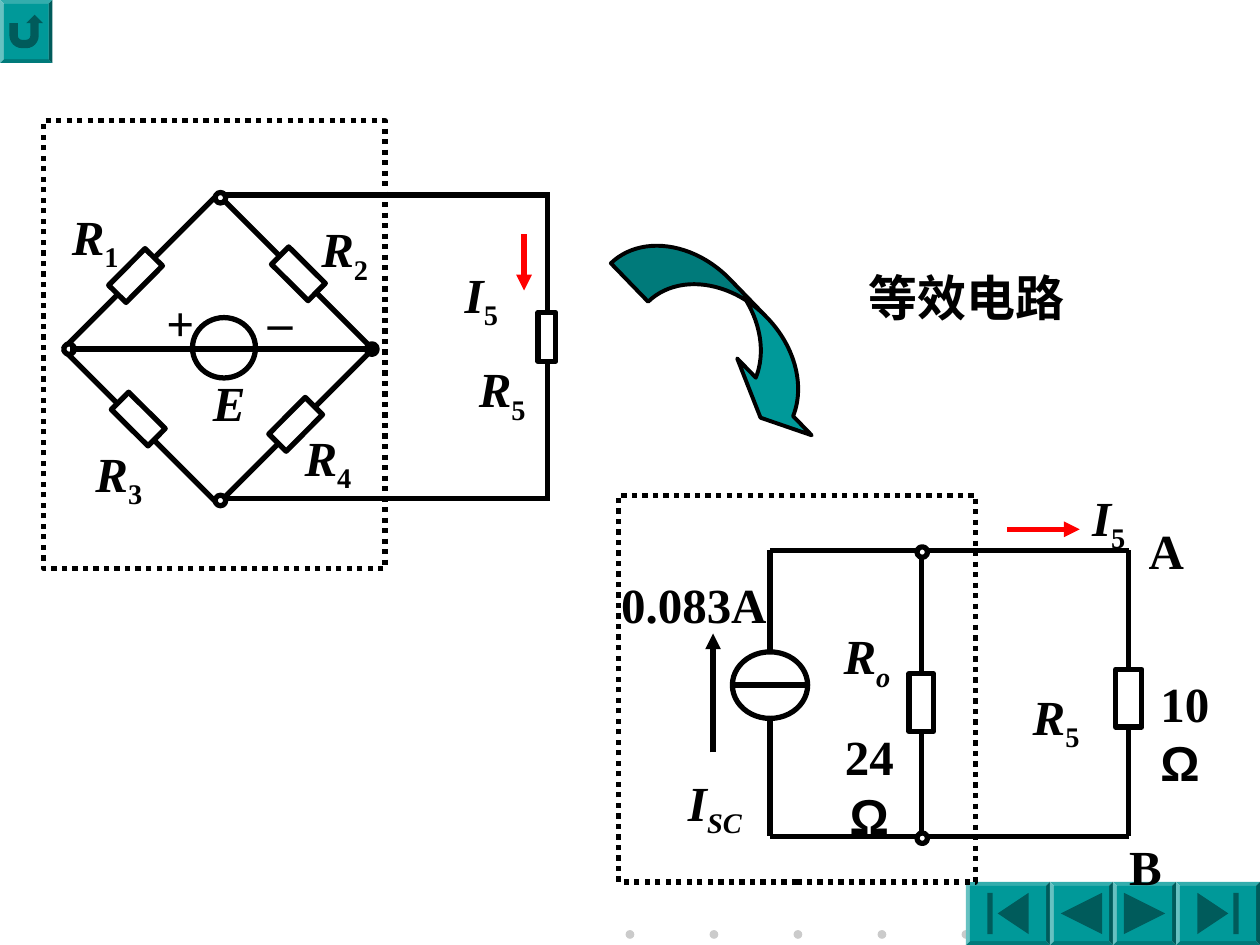
from dataclasses import dataclass

from lxml import etree
from pptx import Presentation
from pptx.dml.color import RGBColor
from pptx.enum.dml import MSO_LINE
from pptx.enum.shapes import MSO_CONNECTOR, MSO_SHAPE
from pptx.enum.text import MSO_ANCHOR, MSO_AUTO_SIZE, PP_ALIGN
from pptx.oxml.ns import qn
from pptx.util import Pt

RECTANGLE, ELLIPSE, BEVEL = MSO_SHAPE.RECTANGLE, MSO_SHAPE.OVAL, MSO_SHAPE.BEVEL
CURVED_ARROW = MSO_SHAPE.CURVED_LEFT_ARROW
RETURN_BUTTON = MSO_SHAPE.ACTION_BUTTON_RETURN
FIRST_BUTTON = MSO_SHAPE.ACTION_BUTTON_BEGINNING
BACK_BUTTON = MSO_SHAPE.ACTION_BUTTON_BACK_OR_PREVIOUS
NEXT_BUTTON = MSO_SHAPE.ACTION_BUTTON_FORWARD_OR_NEXT
LAST_BUTTON = MSO_SHAPE.ACTION_BUTTON_END
STRAIGHT, DOTTED = MSO_CONNECTOR.STRAIGHT, MSO_LINE.ROUND_DOT
LEFT, CENTER = PP_ALIGN.LEFT, PP_ALIGN.CENTER
TOP, MIDDLE = MSO_ANCHOR.TOP, MSO_ANCHOR.MIDDLE
FIT_SHAPE = MSO_AUTO_SIZE.SHAPE_TO_FIT_TEXT


@dataclass(frozen=True)
class Theme:
    """Colours, fonts and sizes of the slide."""
    ink: RGBColor = RGBColor(0, 0, 0)
    paper: RGBColor = RGBColor(0xFF, 0xFF, 0xFF)
    current: RGBColor = RGBColor(0xFF, 0, 0)
    accent: RGBColor = RGBColor(0, 0x99, 0x99)
    dot: RGBColor = RGBColor(0xCB, 0xCB, 0xCB)
    font: str = "Times New Roman"
    unit_font: str = "Arial"
    size: float = 28
    wire: float = 3
    outline: float = 2.25
    node: float = 6
    bevel: float = 2.25


THEME = Theme()


@dataclass(frozen=True)
class Region:
    """A box on the slide whose parts are placed from its top left corner."""
    slide: object
    left: float
    top: float
    width: float
    height: float

    def shape(self, kind, left, top, width, height, fill=THEME.paper,
              line=THEME.wire, dash=None, rotation=0):
        """Add a filled preset shape; a line of zero means no outline."""
        shape = self.slide.shapes.add_shape(
            kind, Pt(self.left + left), Pt(self.top + top), Pt(width), Pt(height))
        shape.shadow.inherit = False
        shape.rotation = rotation
        shape.fill.solid()
        shape.fill.fore_color.rgb = fill
        if line:
            shape.line.color.rgb = THEME.ink
            shape.line.width = Pt(line)
            shape.line.dash_style = dash
        else:
            shape.line.fill.background()
        return shape

    def centered(self, kind, x, y, width, height, **options):
        """Add a shape around a centre point."""
        return self.shape(kind, x - width / 2, y - height / 2, width, height, **options)

    def node(self, x, y):
        """Add a small junction circle."""
        self.centered(ELLIPSE, x, y, THEME.node, THEME.node)

    def button(self, kind, left, top, width, height):
        """Add an action button inside a raised edge."""
        edge = THEME.bevel
        rim = self.shape(BEVEL, left, top, width, height, fill=THEME.accent, line=0)
        rim.adjustments[0] = edge / min(width, height)
        self.shape(kind, left + edge, top + edge, width - 2 * edge, height - 2 * edge,
                   fill=THEME.accent, line=0)

    def wire(self, x1, y1, x2, y2, color=THEME.ink, arrow=False):
        """Add a straight wire, with an arrowhead at its end on request."""
        connector = self.slide.shapes.add_connector(
            STRAIGHT, Pt(self.left + x1), Pt(self.top + y1),
            Pt(self.left + x2), Pt(self.top + y2))
        connector.line.color.rgb = color
        connector.line.width = Pt(THEME.wire)
        if arrow:
            etree.SubElement(connector.line._get_or_add_ln(), qn("a:tailEnd"), type="triangle")
        etree.SubElement(connector._element.spPr, qn("a:effectLst"))

    def label(self, text, left, top, width, height=41, subscript="", unit="",
              italic=False, italic_subscript=False, align=LEFT, anchor=TOP, spacing=None):
        """Add a bold label with an optional subscript or a unit on its own line."""
        box = self.slide.shapes.add_textbox(
            Pt(self.left + left), Pt(self.top + top), Pt(width), Pt(height))
        frame = box.text_frame
        frame.word_wrap = False
        frame.auto_size = FIT_SHAPE
        frame.vertical_anchor = anchor
        paragraph = frame.paragraphs[0]
        paragraph.alignment = align
        paragraph.line_spacing = spacing
        add_run(paragraph, text, italic=italic)
        if subscript:
            add_run(paragraph, subscript, italic=italic_subscript, baseline=-25000)
        if unit:
            paragraph.add_line_break()
            add_run(paragraph, unit, font=THEME.unit_font)


def add_run(paragraph, text, font=THEME.font, italic=False, baseline=0):
    """Add a formatted run to a paragraph."""
    run = paragraph.add_run()
    run.text = text
    run.font.name = font
    run.font.size = Pt(THEME.size)
    run.font.bold = True
    run.font.italic = italic
    run.font.color.rgb = THEME.ink
    if baseline:
        run._r.get_or_add_rPr().set("baseline", str(baseline))


def draw_navigation(region):
    """Draw the footer dots and the action buttons."""
    for index in range(8):
        region.shape(ELLIPSE, 357.5 + 48 * index, 531.5, 5, 5, fill=THEME.dot, line=0)
    region.button(RETURN_BUTTON, 0, 0, 30, 36)
    left = 552
    for kind, width in ((FIRST_BUTTON, 48), (BACK_BUTTON, 36),
                        (NEXT_BUTTON, 36), (LAST_BUTTON, 48)):
        region.button(kind, left, region.height - 36, width, 36)
        left += width


def draw_bridge(region):
    """Draw the bridge circuit with its load R5."""
    region.shape(RECTANGLE, 0, 0, 195, region.height, dash=DOTTED)
    region.wire(288, 41, 288, 217.5)
    region.shape(RECTANGLE, 282.5, 109.5, 10, 28)
    region.wire(274.5, 65, 274.5, 97, color=THEME.current, arrow=True)
    region.wire(102.5, 42.5, 288, 42.5)
    region.wire(101, 216, 287, 216)
    region.shape(ELLIPSE, 85, 112.5, 36, 34.5)

    center_x, center_y, half = 99.5, 130.5, 88.5
    for side in (-1, 1):
        for end in (-1, 1):
            region.wire(center_x + side * half, center_y, center_x, center_y + end * half)
    for across, down in ((0, -1), (0, 1), (1, 0), (-1, 0)):
        region.node(101 + across * 86.5, center_y + down * 86.5)
    for x, y, rotation in ((52.5, 88.5, 44.8), (144, 173.5, 44.8),
                           (145.5, 87.5, 134.8), (54, 170.5, 134.8)):
        region.centered(RECTANGLE, x, y, 14, 29.5, rotation=rotation)
    region.wire(15, center_y, 191, center_y)

    for name, number, left, top in (
            ("R", "1", 9, 45.5), ("R", "2", 151.5, 52.5), ("R", "3", 22.5, 181),
            ("R", "4", 142, 171.5), ("R", "5", 241.5, 132.5), ("I", "5", 233.5, 78.5)):
        region.label(name, left, top, 44, 45, subscript=number, italic=True)
    region.label("+", 63, 94.5, 34)
    region.label("_", 121, 84.5, 34)
    region.label("E", 87.5, 140, 37, italic=True, align=CENTER, anchor=MIDDLE)


def draw_equivalent(region):
    """Draw the current source equivalent circuit with its load R5."""
    source_x, branch_x, load_x, top, bottom = 86.5, 173, 291.5, 31.5, 195
    middle = {"align": CENTER, "anchor": MIDDLE}
    region.shape(RECTANGLE, 0, 0, 204, region.height, dash=DOTTED)
    region.wire(source_x, top, source_x, bottom)
    region.centered(ELLIPSE, source_x, 108.5, 43, 38)
    region.wire(source_x - 21.5, 108.5, source_x + 21.5, 108.5)
    for x, y, width in ((branch_x, 118.5, 14), (load_x, 116, 15)):
        region.wire(x, top, x, bottom)
        region.centered(RECTANGLE, x, y, width, 33)
    for y in (top, bottom):
        region.wire(source_x, y, load_x, y)
        region.node(branch_x + 0.5, y + 1)
    region.wire(54, 147, 54, 79, arrow=True)
    region.wire(222, 19.5, 263.5, 19.5, color=THEME.current, arrow=True)

    region.label("I", 263.5, -8, 44, 45, subscript="5", italic=True)
    region.label("A", 293, 11, 40, **middle)
    region.label("B", 281, 191.5, 40, **middle)
    region.label("I", 27, 155, 56, 45, subscript="SC", italic=True,
                 italic_subscript=True, **middle)
    region.label("24", 111.5, 145.5, 63.5, unit="Ω", **middle)
    region.label("0.083A", -12, 41.5, 110, **middle)
    region.label("R", 227.5, 106, 45, 45, subscript="5", italic=True, **middle)
    region.label("10", 302.5, 98.5, 63.5, unit="Ω")
    region.label("R", 121.5, 52, 44, 65, subscript="o", italic=True,
                 italic_subscript=True, spacing=1.5)


def draw_transition(region):
    """Draw the curved arrow and the name of the result."""
    arrow = region.shape(CURVED_ARROW, 47.5, 0, 42.5, 153.5, fill=THEME.accent,
                         line=THEME.outline, rotation=315.9)
    for index, value in enumerate((0.72, 1.44, 0.33)):
        arrow.adjustments[index] = value
    region.label("等效电路", 140.5, 18.5, 130, 57.5, spacing=1.5)


def main():
    """Build the slide and save it."""
    presentation = Presentation()
    presentation.slide_width, presentation.slide_height = Pt(720), Pt(540)
    slide = presentation.slides.add_slide(presentation.slide_layouts[6])
    draw_navigation(Region(slide, 0, 0, 720, 540))
    draw_bridge(Region(slide, 25, 69, 293, 256))
    draw_equivalent(Region(slide, 353.5, 283, 366, 221))
    draw_transition(Region(slide, 349, 114, 271, 154))
    presentation.save("out.pptx")


if __name__ == "__main__":
    main()
